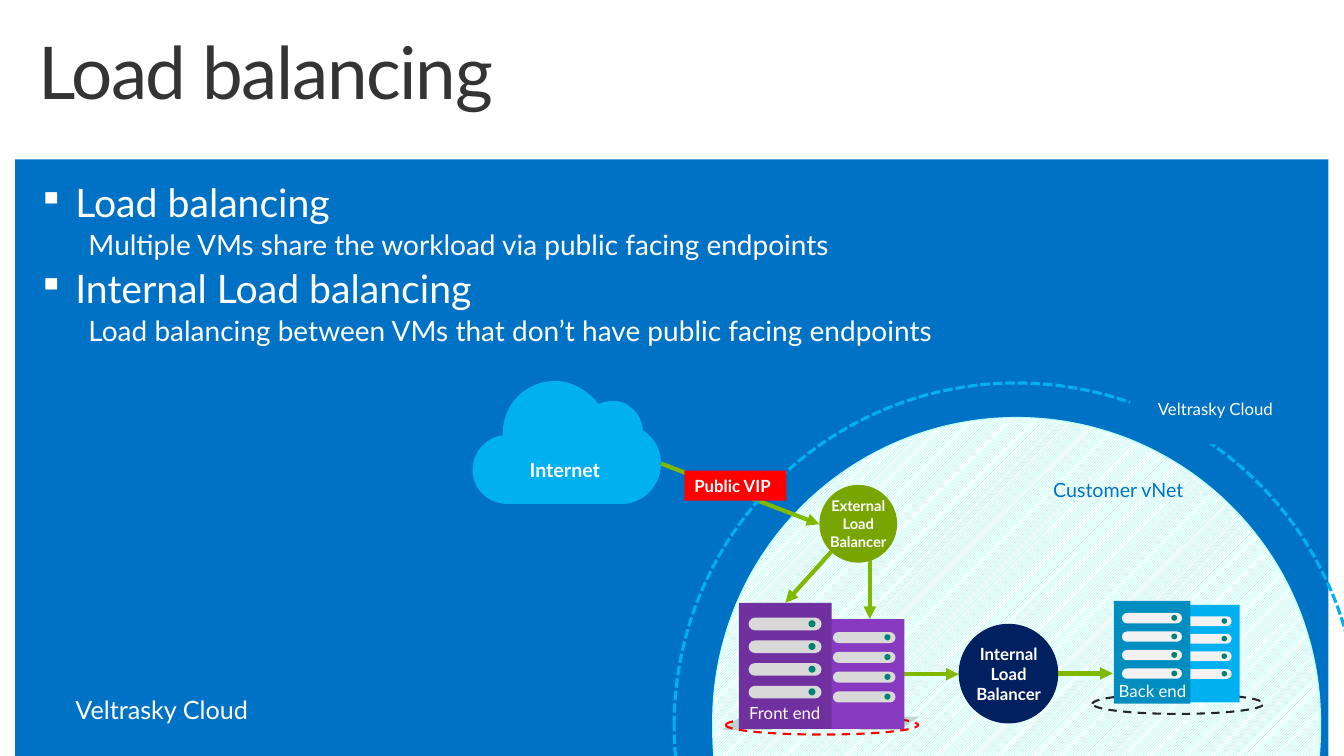
from dataclasses import dataclass, field
from typing import Any

from lxml.etree import SubElement
from pptx import Presentation
from pptx.dml.color import RGBColor
from pptx.enum.dml import MSO_LINE, MSO_PATTERN
from pptx.enum.shapes import MSO_CONNECTOR, MSO_SHAPE
from pptx.enum.text import MSO_ANCHOR, PP_ALIGN
from pptx.oxml.ns import qn
from pptx.util import Cm, Pt

COLORS = {
    "white": "FFFFFF", "blue": "0072C6", "title": "343434", "sky": "00B0F0",
    "ocean": "008EC0", "navy": "002060", "olive": "79A500", "lime": "7FBA00",
    "purple": "7030A0", "violet": "873AC0", "silver": "D9D9D9", "mist": "F2F2F2",
    "teal": "008272", "red": "FF0000", "black": "272727", "shade": "1A1A1A",
    "hatch": "67FFEC", "rim": "B3FFF6",
}
FONT = "Lato"
CLOUD_SIZE = (187, 122)
CLOUD_START = (30, 54)
CLOUD_CURVES = [
    ((30, 53), (30, 52), (30, 52)), ((30, 23), (53, 0), (82, 0)),
    ((99, 0), (115, 10), (125, 23)), ((129, 21), (134, 20), (139, 20)),
    ((145, 20), (151, 21), (155, 25)), ((163, 30), (168, 38), (169, 49)),
    ((180, 56), (187, 68), (187, 82)), ((187, 103), (171, 120), (151, 122)),
    ((151, 122), (35, 122), (35, 122)), ((15, 122), (0, 107), (0, 88)),
    ((0, 71), (13, 56), (30, 54)),
]
Point = tuple[float, float]
Area = tuple[float, float, float, float]


@dataclass
class Figure:
    kind: MSO_SHAPE
    area: Area
    fill: str = ""
    line: str = ""
    width: float = 0
    dash: Any = None


@dataclass
class Label:
    area: Area
    text: str
    size: float
    color: str = "white"
    bold: bool = False
    spacing: int = 0
    frame: dict = field(default_factory=dict)
    para: dict = field(default_factory=dict)


@dataclass
class Arrow:
    start: Point
    end: Point


@dataclass
class Tower:
    area: Area
    fill: str
    slot: str


@dataclass
class Cloud:
    area: Area
    fill: str


@dataclass
class FloorShadow:
    area: Area
    skew: float


def color(name: str) -> RGBColor:
    return RGBColor.from_string(COLORS[name])


def apply(target: Any, values: dict) -> None:
    for name, value in values.items():
        setattr(target, name, value)


def draw_figure(page: Any, figure: Figure) -> Any:
    shape = page.shapes.add_shape(figure.kind, *map(Cm, figure.area))
    shape.shadow.inherit = False
    if figure.kind == MSO_SHAPE.ROUNDED_RECTANGLE:
        shape.adjustments[0] = 0.5
    if figure.fill:
        shape.fill.solid()
        shape.fill.fore_color.rgb = color(figure.fill)
    else:
        shape.fill.background()
    if figure.line:
        shape.line.color.rgb = color(figure.line)
        apply(shape.line, {"width": Pt(figure.width), "dash_style": figure.dash})
    else:
        shape.line.fill.background()
    return shape


def add_span(para: Any, text: str, size: float, tint: str, bold: bool = False) -> Any:
    span = para.add_run()
    span.text = text
    apply(span.font, {"name": FONT, "size": Pt(size), "bold": bold})
    span.font.color.rgb = color(tint)
    return span


def draw_label(page: Any, label: Label) -> None:
    box = page.shapes.add_textbox(*map(Cm, label.area))
    apply(box.text_frame, {"word_wrap": True} | label.frame)
    para = box.text_frame.paragraphs[0]
    apply(para, label.para)
    span = add_span(para, label.text, label.size, label.color, label.bold)
    if label.spacing:
        span.font._element.set("spc", str(label.spacing))


def draw_arrow(page: Any, arrow: Arrow) -> None:
    line = page.shapes.add_connector(
        MSO_CONNECTOR.STRAIGHT, *map(Cm, arrow.start + arrow.end))
    line.line.color.rgb = color("lime")
    line.line.width = Pt(3)
    SubElement(line.line._get_or_add_ln(), qn("a:tailEnd"), type="triangle")
    SubElement(line._element.spPr, qn("a:effectLst"))


def draw_tower(page: Any, tower: Tower) -> None:
    """Draw a server with four drives, each with a status light."""
    left, top, width, height = tower.area
    draw_figure(page, Figure(MSO_SHAPE.RECTANGLE, tower.area, tower.fill))
    light = 0.076 * width
    for row in range(4):
        slot_top = top + (0.118 + 0.18 * row) * height
        slot = (left + 0.105 * width, slot_top, 0.785 * width, 0.1 * height)
        lamp = (left + 0.75 * width, slot_top + 0.02 * height, light, light)
        draw_figure(page, Figure(MSO_SHAPE.ROUNDED_RECTANGLE, slot, tower.slot))
        draw_figure(page, Figure(MSO_SHAPE.OVAL, lamp, "teal"))


def draw_outline(page: Any, points: list[Point], fill: str) -> Any:
    first, *rest = [(Cm(x), Cm(y)) for x, y in points]
    builder = page.shapes.build_freeform(*first)
    builder.add_line_segments(rest, close=True)
    shape = builder.convert_to_shape()
    shape.shadow.inherit = False
    shape.fill.solid()
    shape.fill.fore_color.rgb = color(fill)
    shape.line.fill.background()
    return shape


def curve_point(a: Point, b: Point, c: Point, d: Point, t: float) -> Point:
    u = 1 - t
    x, y = (u**3 * p + 3 * u * u * t * q + 3 * u * t * t * r + t**3 * s
            for p, q, r, s in zip(a, b, c, d))
    return x, y


def draw_cloud(page: Any, cloud: Cloud) -> None:
    left, top, width, height = cloud.area
    points = [CLOUD_START]
    for curve in CLOUD_CURVES:
        start = points[-1]
        points += [curve_point(start, *curve, step / 12) for step in range(1, 13)]
    draw_outline(page, [(left + x / CLOUD_SIZE[0] * width,
                         top + y / CLOUD_SIZE[1] * height) for x, y in points], cloud.fill)


def draw_floor_shadow(page: Any, shadow: FloorShadow) -> None:
    left, top, width, height = shadow.area
    right, bottom, skew = left + width, top + height, shadow.skew
    shape = draw_outline(page, [(left + skew, top), (right, top),
                                (right - skew, bottom), (left, bottom)], "shade")
    tint = shape._element.spPr.find(qn("a:solidFill"))[0]
    SubElement(tint, qn("a:alpha"), val="19000")


def draw_topics(page: Any, topics: list[tuple[str, str]]) -> None:
    box = page.shapes.add_textbox(Cm(0.76), Cm(4.5), Cm(32.26), Cm(13.28))
    frame = box.text_frame
    apply(frame, {"word_wrap": True, "margin_left": Cm(0.2), "margin_right": Cm(0.2)})
    lines = [(text, level) for topic in topics for level, text in enumerate(topic)]
    for index, (text, level) in enumerate(lines):
        para = frame.add_paragraph() if index else frame.paragraphs[0]
        size = (28, 20)[level]
        apply(para, {"line_spacing": 0.9, "level": level,
                     "space_before": Pt(0.2 * size if index else 0)})
        layout = para._p.get_or_add_pPr()
        margin, indent = ((0.94, -0.94), (1.27, 0))[level]
        layout.set("marL", str(Cm(margin)))
        layout.set("indent", str(Cm(indent)))
        if level == 0:
            tint = SubElement(layout, qn("a:buClr"))
            SubElement(tint, qn("a:srgbClr"), val=COLORS["white"])
            SubElement(layout, qn("a:buSzPct"), val="90000")
            SubElement(layout, qn("a:buChar"), char="▪")
        add_span(para, text, size, "white")


DRAWERS = {Figure: draw_figure, Label: draw_label, Arrow: draw_arrow,
           Tower: draw_tower, Cloud: draw_cloud, FloorShadow: draw_floor_shadow}
CENTER = {"alignment": PP_ALIGN.CENTER}
MIDDLE = {"vertical_anchor": MSO_ANCHOR.MIDDLE}
FRAME = [Figure(MSO_SHAPE.RECTANGLE, area, "white") for area in (
    (0, 0, 0.38, 19.05), (33.48, 0, 0.39, 19.05), (0, 0, 33.87, 4.02))]
TEXTS = [
    Label((0.76, 0.81, 27.43, 2.57), "Load balancing", 52, "title", spacing=-100,
          frame={"margin_left": Cm(0.2)}, para={"line_spacing": 0.9}),
    Label((1.65, 17.37, 4.98, 1.02), "Veltrasky Cloud", 18, frame={"word_wrap": False}),
]
DIAGRAM = [
    Arrow((21.92, 14.05), (21.92, 15.6)),
    Arrow((20.96, 13.89), (19.79, 15.19)),
    Figure(MSO_SHAPE.OVAL, (20.65, 12.22, 1.96, 1.96), "olive"),
    Label((20.6, 12.37, 2.06, 1.65), "External Load Balancer", 10.5, bold=True,
          frame=MIDDLE, para=CENTER),
    Arrow((22.78, 16.99), (24.16, 16.99)),
    Label((26.29, 11.91, 3.81, 0.86), "Customer vNet", 14, "blue", frame={"word_wrap": False}),
    FloorShadow((18.19, 18.01, 1.8, 0.38), 0.56),
    Figure(MSO_SHAPE.OVAL, (27.53, 17.48, 4.32, 0.51), "", "black", 1.5, MSO_LINE.DASH),
    Figure(MSO_SHAPE.OVAL, (24.16, 15.72, 2.51, 2.51), "navy"),
    Label((24.1, 15.93, 2.64, 2.11), "Internal Load Balancer", 12, bold=True,
          frame=MIDDLE, para=CENTER),
    Tower((29.41, 15.24, 1.83, 2.46), "sky", "mist"),
    Tower((28.07, 15.14, 1.93, 2.59), "ocean", "mist"),
    Label((27.79, 17.04, 2.51, 0.76), "Back end", 12, para=CENTER),
    Figure(MSO_SHAPE.OVAL, (18.29, 18.03, 4.85, 0.48), "", "red", 1.5, MSO_LINE.DASH),
    FloorShadow((21.67, 18.06, 1.49, 0.33), 0.47),
    Tower((20.78, 15.6, 2.01, 2.77), "violet", "silver"),
    Tower((18.62, 15.19, 2.34, 3.18), "purple", "silver"),
    Label((18.42, 17.58, 2.72, 0.76), "Front end", 12, para=CENTER),
    Arrow((16.66, 11.68), (20.65, 13.21)),
    Cloud((11.91, 9.6, 4.75, 3.1), "sky"),
    Label((12.14, 10.95, 3.94, 1.83), "Internet", 14, bold=True,
          frame=MIDDLE | {"margin_right": 0, "margin_top": 0, "margin_bottom": 0},
          para=CENTER | {"line_spacing": 0.9}),
    Figure(MSO_SHAPE.OVAL, (16.99, 9.65, 17.25, 17.25), "", "sky", 2.25, MSO_LINE.SQUARE_DOT),
    Cloud((28.42, 8.41, 4.37, 2.79), "blue"),
    Arrow((26.67, 16.97), (28.04, 16.97)),
    Label((28.93, 9.93, 3.78, 0.76), "Veltrasky Cloud", 12),
    Figure(MSO_SHAPE.RECTANGLE, (17.25, 11.86, 2.57, 0.76), "red"),
    Label((17.25, 11.86, 2.57, 0.76), "Public VIP", 12, bold=True),
]


def draw_network(page: Any) -> None:
    network = draw_figure(page, Figure(
        MSO_SHAPE.ROUNDED_RECTANGLE, (17.96, 10.52, 15.32, 15.52), "white", "rim", 0.75))
    network.fill.patterned()
    network.fill.pattern = MSO_PATTERN.LIGHT_UPWARD_DIAGONAL
    network.fill.fore_color.rgb = color("hatch")
    network.fill.back_color.rgb = color("white")


def draw_all(page: Any, items: list) -> None:
    for item in items:
        DRAWERS[type(item)](page, item)


def main() -> None:
    deck = Presentation()
    apply(deck, {"slide_width": Cm(33.87), "slide_height": Cm(19.05)})
    page = deck.slides.add_slide(deck.slide_layouts[6])
    page.background.fill.solid()
    page.background.fill.fore_color.rgb = color("blue")
    draw_all(page, FRAME + TEXTS)
    draw_topics(page, [
        ("Load balancing", "Multiple VMs share the workload via public facing endpoints"),
        ("Internal Load balancing",
         "Load balancing between VMs that don’t have public facing endpoints"),
    ])
    draw_network(page)
    draw_all(page, DIAGRAM)
    deck.save("out.pptx")


if __name__ == "__main__":
    main()
